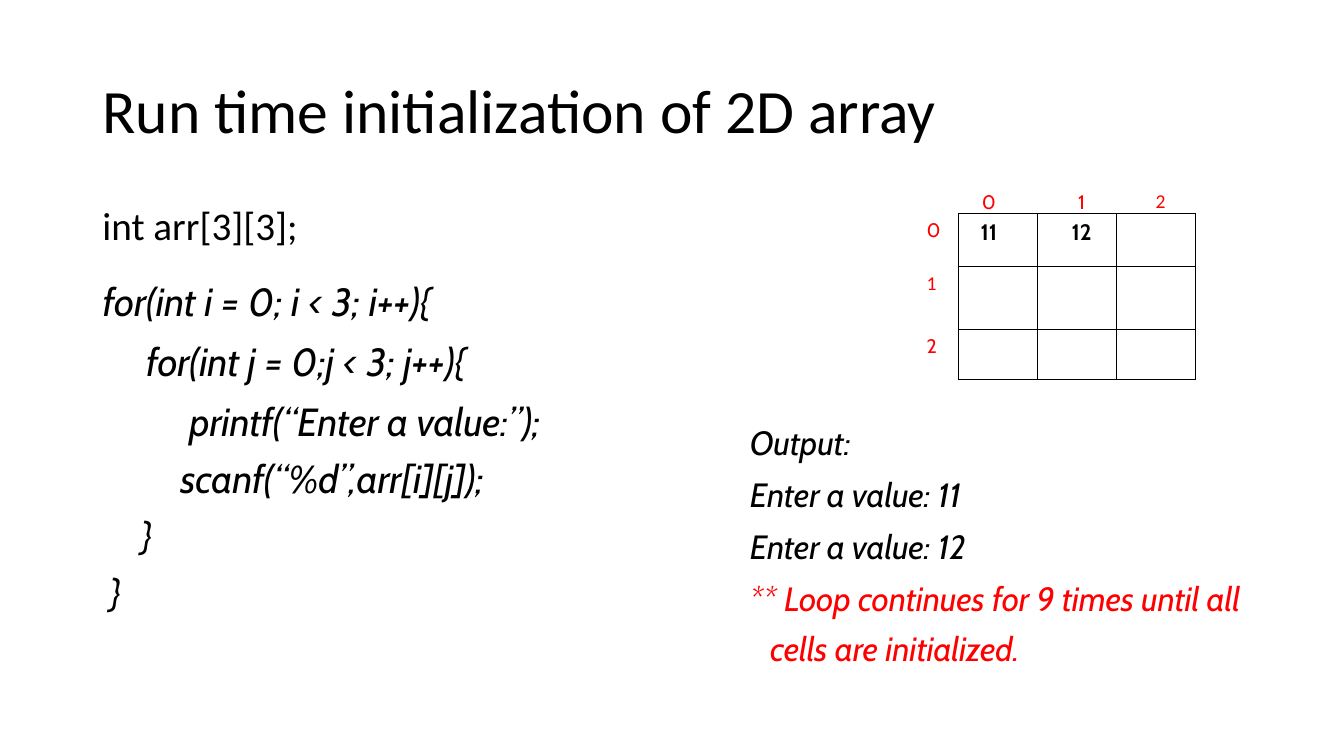
"""Build a slide on run time initialization of a 2D array."""
from lxml import etree
from pptx import Presentation
from pptx import util as u
from pptx.dml.color import RGBColor
from pptx.enum import text
from pptx.oxml import ns

COLORS = {"ink": "000000", "accent": "FF0000", "paper": "FFFFFF"}
TITLE = "Run time initialization of 2D array"
DECLARATION = "int arr[3][3];"
HANGING = {"left": 0.56, "first": -0.51, "line": 1.25, "before": 1}
CODE = [
    ("for(int i = 0; i < 3; i++){", HANGING),
    ("     for(int j = 0;j < 3; j++){", HANGING),
    ("          printf(“Enter a value:”);", HANGING),
    ("  scanf(“%d”,arr[i][j]);", {"left": 1.57, "before": 7.2}),
    ("}", {"left": 1.02, "before": 7.2}),
    ("}", {"left": 0.23, "before": 7.2}),
]
OUTPUT = [
    ("Output:", HANGING),
    ("Enter a value: 11", HANGING),
    ("Enter a value: 12", HANGING),
    ("** Loop continues for 9 times until all cells are initialized.",
     {**HANGING, "color": "accent"}),
]
ARRAY = [
    ["", "0", "1", "2"],
    ["0", "11", "12", ""],
    ["1", "", "", ""],
    ["2", "", "", ""],
]
COLUMN_WIDTHS = [1.07, 1.99, 1.99, 1.99]
ROW_HEIGHTS = [1.28, 1.34, 1.58, 1.27]
CALIBRI_CELLS = {(0, 3), (2, 0)}


def style_paragraph(paragraph, size, font="Calibri", color="ink", bold=False,
                    italic=False, left=0, right=0, first=0, line=None,
                    before=0, after=0, spacing=None):
    properties = paragraph._p.get_or_add_pPr()
    for name, value in (("marL", left), ("marR", right), ("indent", first)):
        properties.set(name, str(int(u.Cm(value))))
    paragraph.space_before, paragraph.space_after = u.Pt(before), u.Pt(after)
    if line:
        paragraph.line_spacing = line
    for run in paragraph.runs:
        run.font.name, run.font.size = font, u.Pt(size)
        run.font.bold, run.font.italic = bold, italic
        run.font.color.rgb = RGBColor.from_string(COLORS[color])
        if spacing:
            run._r.get_or_add_rPr().set("spc", str(spacing))


def add_text(slide, box, lines, insets=(0, 0.03, 0, 0), **style):
    frame = slide.shapes.add_textbox(*map(u.Cm, box)).text_frame
    frame.word_wrap = True
    (frame.margin_left, frame.margin_top,
     frame.margin_right, frame.margin_bottom) = map(u.Cm, insets)
    frame.text = "\n".join(line for line, _ in lines)
    for index, (paragraph, (_, layout)) in enumerate(zip(frame.paragraphs, lines)):
        before = layout.get("before", 0) if index else 0
        style_paragraph(paragraph, **{**style, **layout, "before": before})
    return frame


def set_borders(cell, ruled_sides):
    properties = cell._tc.get_or_add_tcPr()
    for index, side in enumerate("LRTB"):
        line = etree.Element(ns.qn(f"a:ln{side}"), w=str(int(u.Pt(1))))
        if side in ruled_sides:
            fill = etree.SubElement(line, ns.qn("a:solidFill"))
            etree.SubElement(fill, ns.qn("a:srgbClr"), val=COLORS["ink"])
        else:
            etree.SubElement(line, ns.qn("a:noFill"))
        properties.insert(index, line)


def fill_cell(cell, row, column, value):
    cell.fill.solid()
    cell.fill.fore_color.rgb = RGBColor.from_string(COLORS["paper"])
    cell.margin_left = cell.margin_right = u.Cm(0.03)
    cell.margin_top, cell.margin_bottom = u.Cm(0.1), 0
    if row and column:
        set_borders(cell, "LRTB")
    else:
        set_borders(cell, "R" if row else "B" if column else "")
    if not value:
        return
    cell.text_frame.text = value
    paragraph = cell.text_frame.paragraphs[0]
    is_value = bool(row and column)
    style_paragraph(
        paragraph, 16 if is_value else 14,
        font="Calibri" if (row, column) in CALIBRI_CELLS else "Cabin",
        color="ink" if is_value else "accent", bold=is_value,
        left=0.23, right=0.7 if column == 1 else 0,
        line=1.07 if row else 2, after=8)
    if column:
        paragraph.alignment = text.PP_ALIGN.CENTER


def add_array(slide):
    frame = slide.shapes.add_table(
        len(ARRAY), len(ARRAY[0]), u.Cm(23.09), u.Cm(4.09),
        u.Cm(sum(COLUMN_WIDTHS)), u.Cm(sum(ROW_HEIGHTS)))
    table = frame.table
    table.first_row = table.horz_banding = False
    for column, width in zip(table.columns, COLUMN_WIDTHS):
        column.width = u.Cm(width)
    for row, height in zip(table.rows, ROW_HEIGHTS):
        row.height = u.Cm(height)
    for row, values in enumerate(ARRAY):
        for column, value in enumerate(values):
            fill_cell(table.cell(row, column), row, column, value)


def main():
    presentation = Presentation()
    presentation.slide_width, presentation.slide_height = u.Cm(33.87), u.Cm(19.05)
    slide = presentation.slides.add_slide(presentation.slide_layouts[6])
    padding = (0.25, 0.13, 0.25, 0.13)
    title = add_text(slide, (2.33, 1.01, 29.21, 3.68), [(TITLE, {})],
                     padding, size=44, line=0.9)
    title.vertical_anchor = text.MSO_ANCHOR.MIDDLE
    add_text(slide, (2.33, 5.07, 29.21, 12.09), [(DECLARATION, {})],
             padding, size=28, line=0.9)
    add_array(slide)
    listing = {"font": "Cabin", "italic": True, "spacing": -10}
    add_text(slide, (2.54, 6.65, 12.9, 8.94), CODE, size=28, **listing)
    add_text(slide, (18.85, 10.36, 12.9, 6.48), OUTPUT, size=24, **listing)
    presentation.save("out.pptx")


if __name__ == "__main__":
    main()
